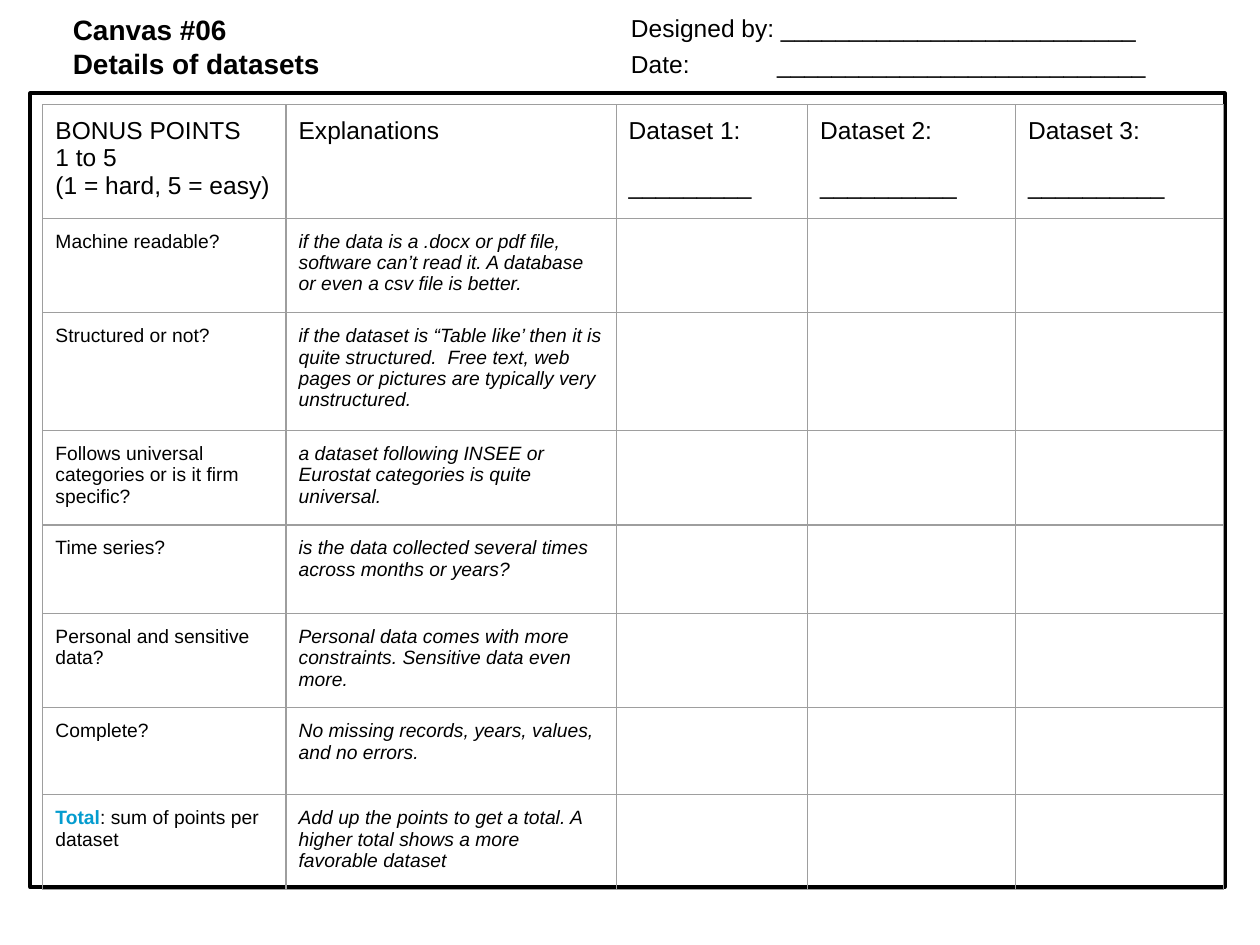
import pptx
import pptx.util
import pptx.dml.color
import pptx.enum.shapes
import pptx.oxml

Inches = pptx.util.Inches
Pt = pptx.util.Pt
RGB = pptx.dml.color.RGBColor.from_string

hues = {"ink": "000000", "grid": "9E9E9E", "total": "049CCF"}
pad = {"margin_left": Inches(0.1), "margin_right": Inches(0.1),
       "margin_top": Inches(0.1), "margin_bottom": Inches(0.1)}
fonts = {
    "title": {"size": Pt(16), "bold": True, "italic": False},
    "head": {"size": Pt(14), "bold": False, "italic": False},
    "item": {"size": Pt(11), "bold": False, "italic": False},
    "note": {"size": Pt(11), "bold": False, "italic": True},
    "total": {"size": Pt(11), "bold": True, "italic": False},
}


def style(thing, values):
    for name, value in values.items():
        setattr(thing, name, value)


def write(frame, lines, look):
    """Write one paragraph per line; a line is a text or a list of (text, look)."""
    for i, line in enumerate(lines):
        para = frame.paragraphs[0] if i == 0 else frame.add_paragraph()
        for text, kind in [(line, look)] if isinstance(line, str) else line:
            run = para.add_run()
            run.text = text
            style(run.font, {"name": "Arial", **fonts[kind]})
            run.font.color.rgb = RGB(hues["total" if kind == "total" else "ink"])


deck = pptx.Presentation()
style(deck, {"slide_width": Inches(10), "slide_height": Inches(7.5)})
slide = deck.slides.add_slide(deck.slide_layouts[6])
shapes = slide.shapes

# Outer frame
frame = shapes.add_shape(pptx.enum.shapes.MSO_SHAPE.RECTANGLE,
                         Inches(0.24), Inches(0.74), Inches(9.48), Inches(6.3))
frame.shadow.inherit = False
frame.fill.background()
frame.line.color.rgb = RGB(hues["ink"])
frame.line.width = Pt(2.25)

# Title and fields to fill in
labels = [
    (0.48, 0, 4.25, 0.65, ["Canvas #06", "Details of datasets"], "title"),
    (4.91, 0, 4.36, 0.45, ["Designed by: " + "_" * 26], "head"),
    (4.91, 0.29, 4.44, 0.45, ["Date:\t" + "_" * 27], "head"),
]
for left, top, width, height, lines, look in labels:
    box = shapes.add_textbox(Inches(left), Inches(top), Inches(width), Inches(height))
    style(box.text_frame, {"word_wrap": True, **pad})
    write(box.text_frame, lines, look)

# Tab stop that starts the date line
stops = pptx.oxml.parse_xml(
    '<a:tabLst xmlns:a="http://schemas.openxmlformats.org/drawingml/2006/main">'
    f'<a:tab pos="{Inches(1.16)}" algn="l"/></a:tabLst>')
box.text_frame.paragraphs[0]._p.get_or_add_pPr().append(stops)

# Score table
widths = [1.93, 2.62, 1.52, 1.65, 1.65]
heights = [0.86, 0.74, 0.92, 0.74, 0.7, 0.74, 0.69, 0.74]
heads = [["BONUS POINTS", "1 to 5", "(1 = hard, 5 = easy)"], ["Explanations"]]
heads += [[f"Dataset {n}:", "_" * count] for n, count in enumerate([9, 10, 10], 1)]
rows = [
    ("Machine readable?",
     "if the data is a .docx or pdf file, software can’t read it. "
     "A database or even a csv file is better."),
    ("Structured or not?",
     "if the dataset is “Table like’ then it is quite structured.  "
     "Free text, web pages or pictures are typically very unstructured."),
    ("Follows universal categories or is it firm specific?",
     "a dataset following INSEE or Eurostat categories is quite universal."),
    ("Time series?",
     "is the data collected several times across months or years?"),
    ("Personal and sensitive data?",
     "Personal data comes with more constraints. Sensitive data even more."),
    ("Complete?", "No missing records, years, values, and no errors."),
    ([("Total", "total"), (": sum of points per dataset", "item")],
     "Add up the points to get a total. A higher total shows a more favorable dataset"),
]
table = shapes.add_table(len(heights), len(widths), Inches(0.34), Inches(0.83),
                         Inches(sum(widths)), Inches(sum(heights))).table
style(table, {"first_row": False, "horz_banding": False})
for col, width in zip(table.columns, widths):
    col.width = Inches(width)
for row, height in zip(table.rows, heights):
    row.height = Inches(height)

# Cell padding, fill and borders
for cell in table.iter_cells():
    style(cell, pad)
    cell.fill.background()
    props = cell._tc.get_or_add_tcPr()
    for i, side in enumerate(["lnL", "lnR", "lnT", "lnB"]):
        props.insert(i, pptx.oxml.parse_xml(
            f'<a:{side} xmlns:a="http://schemas.openxmlformats.org/drawingml/2006/main"'
            f' w="{Pt(0.75)}"><a:solidFill><a:srgbClr val="{hues["grid"]}"/>'
            f'</a:solidFill></a:{side}>'))

# Table text
for c, lines in enumerate(heads):
    text = table.cell(0, c).text_frame
    write(text, lines, "head")
    if c > 1:
        text.paragraphs[1].space_before = Pt(16)
for r, (item, note) in enumerate(rows, 1):
    write(table.cell(r, 0).text_frame, [item], "item")
    write(table.cell(r, 1).text_frame, [note], "note")

deck.save("out.pptx")
